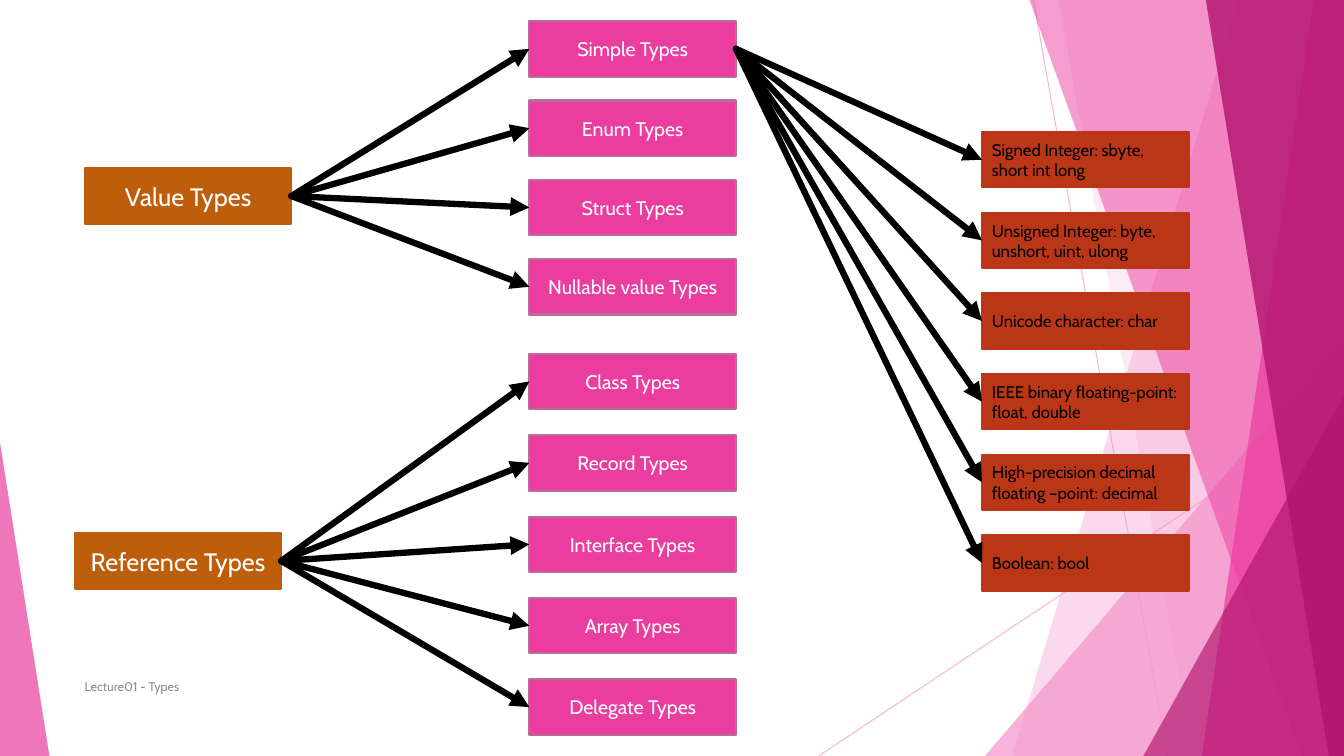
"""Build a slide that maps the value and reference types as a tree of boxes."""
from lxml import etree
from pptx import Presentation
from pptx.dml.color import RGBColor
from pptx.enum.shapes import MSO_CONNECTOR, MSO_SHAPE
from pptx.enum.text import MSO_ANCHOR, PP_ALIGN
from pptx.oxml.ns import qn
from pptx.util import Inches, Pt

STRAIGHT = MSO_CONNECTOR.STRAIGHT
RECT, TRIANGLE = MSO_SHAPE.RECTANGLE, MSO_SHAPE.ISOSCELES_TRIANGLE
MIDDLE = MSO_ANCHOR.MIDDLE
LEFT, CENTER = PP_ALIGN.LEFT, PP_ALIGN.CENTER

W, H = 13.33, 7.5
BOX_W, BOX_H = 2.05, 0.55
THEME = {
    "font": "Cabin",
    "light": "F496CB", "pink": "EB3D9F", "deep": "B2136D", "arrow": "000000",
    "root": dict(fill="BE5E0B", line="BE5E0B", text="FFFFFF", size=18, align=CENTER),
    "kind": dict(fill="EB3D9F", line="B56F96", text="FFFFFF", size=14, align=CENTER),
    "leaf": dict(fill="BB3517", line="BB3517", text="000000", size=12, align=LEFT),
    "footer": dict(text="8C8C8C", size=9, align=LEFT),
}


def fade(sp, percent):
    """Drop the shadow of a shape and set the opacity of its colours."""
    spPr = sp._element.spPr
    for clr in spPr.iter(qn("a:srgbClr")):
        etree.SubElement(clr, qn("a:alpha"), val=str(percent * 1000))
    etree.SubElement(spPr, qn("a:effectLst"))


def write(sp, text, style):
    """Put one styled paragraph into a shape, centred vertically."""
    tf = sp.text_frame
    tf.word_wrap = True
    tf.vertical_anchor = MIDDLE
    p = tf.paragraphs[0]
    p.alignment = style["align"]
    r = p.add_run()
    r.text = text
    for name, value in dict(name=THEME["font"], size=Pt(style["size"])).items():
        setattr(r.font, name, value)
    r.font.color.rgb = RGBColor.from_string(style["text"])


prs = Presentation()
prs.slide_width, prs.slide_height = Inches(W), Inches(H)
s = prs.slides.add_slide(prs.slide_layouts[6])

for ends in [(10.25, 0, 11.58, H), (W, 4.03, 8.12, H)]:
    cn = s.shapes.add_connector(STRAIGHT, *map(Inches, ends))
    cn.line.color.rgb = RGBColor.from_string(THEME["light"])
    cn.line.width = Pt(0.75)
    fade(cn, 70)

# Each facet is a band (top x, bottom x) or a triangle (left, top, width, apex).
facets = [
    ("band", (12.28, 10.04), "light", 36),
    ("band", (10.5, 11.83), "light", 20),
    ("triangle", (9.77, 3.33, 3.56, 1), "light", 72),
    ("band", (10.21, 12.91), "pink", 50),
    ("band", (13.03, 11.92), "pink", 70),
    ("band", (11.96, 13.18), "deep", 80),
    ("triangle", (11.34, 3.93, 1.99, 1), "deep", 66),
    ("triangle", (0, 4.39, 0.49, 0), "pink", 70),
]
for form, geometry, colour, opacity in facets:
    if form == "band":
        top_x, bottom_x = map(Inches, geometry)
        fb = s.shapes.build_freeform(top_x, 0)
        fb.add_line_segments([(Inches(W), 0), (Inches(W), Inches(H)), (bottom_x, Inches(H))])
        sp = fb.convert_to_shape()
    else:
        x, y, width, apex = geometry
        sp = s.shapes.add_shape(TRIANGLE, Inches(x), Inches(y), Inches(width), Inches(H - y))
        sp.adjustments[0] = apex
    sp.fill.solid()
    sp.fill.fore_color.rgb = RGBColor.from_string(THEME[colour])
    sp.line.fill.background()
    fade(sp, opacity)

footer = s.shapes.add_textbox(Inches(0.74), Inches(6.61), Inches(6.89), Inches(0.4))
write(footer, "Lecture01 - Types", THEME["footer"])

# Columns hold a style, a left edge, the first and last tops, and the names.
columns = [
    ("root", 0.84, 1.67, 1.67, ["Value Types"]),
    ("root", 0.74, 5.29, 5.29, ["Reference Types"]),
    ("kind", 5.25, 0.21, 2.57,
     ["Simple Types", "Enum Types", "Struct Types", "Nullable value Types"]),
    ("kind", 5.25, 3.51, 6.74,
     ["Class Types", "Record Types", "Interface Types", "Array Types", "Delegate Types"]),
    ("leaf", 9.74, 1.31, 5.31,
     ["Signed Integer: sbyte, short int long",
      "Unsigned Integer: byte, unshort, uint, ulong",
      "Unicode character: char",
      "IEEE binary floating-point: float, double",
      "High-precision decimal floating –point: decimal",
      "Boolean: bool"]),
]
boxes = {}
for level, left, first, last, names in columns:
    style = THEME[level]
    step = (last - first) / max(len(names) - 1, 1)
    for i, name in enumerate(names):
        sp = s.shapes.add_shape(RECT, Inches(left), Inches(first + i * step),
                                Inches(BOX_W), Inches(BOX_H))
        sp.shadow.inherit = False
        sp.fill.solid()
        sp.fill.fore_color.rgb = RGBColor.from_string(style["fill"])
        sp.line.color.rgb = RGBColor.from_string(style["line"])
        sp.line.width = Pt(1.5)
        write(sp, name, style)
        boxes[name] = sp

parents = {"Value Types": columns[2], "Reference Types": columns[3], "Simple Types": columns[4]}
for parent, column in parents.items():
    for child in column[-1]:
        cn = s.shapes.add_connector(STRAIGHT, 0, 0, 0, 0)
        cn.begin_connect(boxes[parent], 3)
        cn.end_connect(boxes[child], 1)
        cn.line.color.rgb = RGBColor.from_string(THEME["arrow"])
        cn.line.width = Pt(4.5)
        ln = cn.line._get_or_add_ln()
        ln.set("cap", "rnd")
        etree.SubElement(ln, qn("a:tailEnd"), type="triangle")
        fade(cn, 100)

prs.save("out.pptx")
